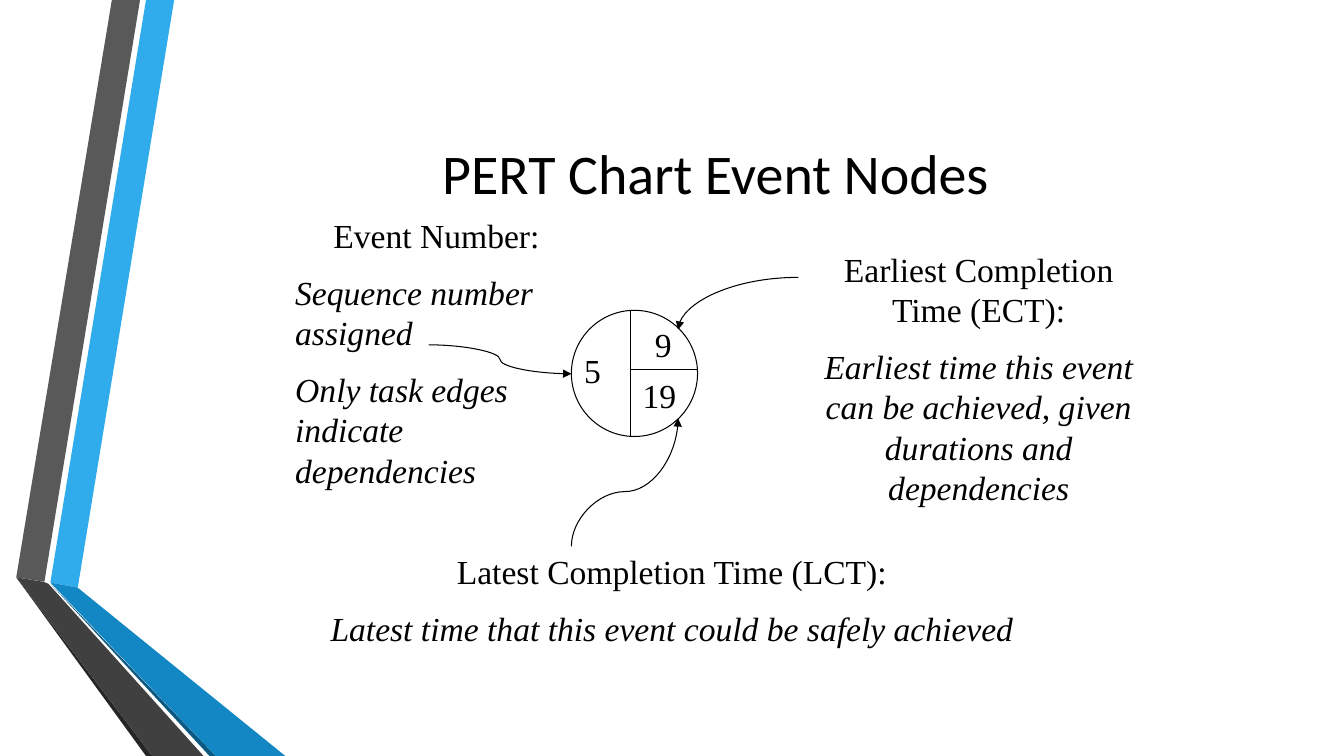
import pptx
import pptx.util
import pptx.dml.color
import pptx.enum.shapes
import pptx.enum.text
import pptx.oxml
import pptx.oxml.ns

Cm, Pt = pptx.util.Cm, pptx.util.Pt
ALIGN = pptx.enum.text.PP_ALIGN
CONNECTOR = pptx.enum.shapes.MSO_CONNECTOR

COLORS = {
    "ink": "000000", "paper": "FFFFFF",
    "sky": "30ACEC", "blue": "1287C3", "navy": "0C5A82",
    "gray": "595959", "charcoal": "404040", "coal": "262626",
}
WIDTH, HEIGHT = 33.87, 19.05

RIBBONS = [
    ("sky", [(1.27, 14.68), (1.96, 14.81), (4.39, 0), (3.68, 0)]),
    ("gray", [(3.53, 0), (2.82, 0), (0.41, 14.55), (1.12, 14.66)]),
    ("coal", [(0.41, 14.55), (3.68, HEIGHT), (3.84, HEIGHT)]),
    ("navy", [(1.27, 14.71), (5.28, HEIGHT), (5.44, HEIGHT)]),
    ("blue", [(1.27, 14.68), (5.44, HEIGHT), (7.19, HEIGHT), (1.96, 14.81)]),
    ("charcoal", [(5.13, HEIGHT), (1.22, 14.71), (1.09, 14.66),
                  (0.41, 14.55), (3.84, HEIGHT)]),
]

TITLE = ("PERT Chart Event Nodes", (4.11, 1.9, 27.84, 4.88))
NODE_LEFT, NODE_TOP, NODE_SIZE = 14.4, 7.82, 3.18
SPLIT_X, SPLIT_Y = 15.88, 9.32
NODE_VALUES = [
    ("5", (14.4, 8.68, 1.07, 1.27)),
    ("9", (16.08, 8.05, 1.27, 1.27)),
    ("19", (15.67, 9.32, 1.9, 1.27)),
]
EXPLANATIONS = [
    ("Event Number:",
     ["Sequence number assigned", "Only task edges indicate dependencies"],
     ALIGN.LEFT, (7.19, 5.28, 7.62, 7.44)),
    ("Earliest Completion Time (ECT):",
     ["Earliest time this event can be achieved, given durations and dependencies"],
     ALIGN.CENTER, (20.32, 6.14, 8.69, 6.93)),
    ("Latest Completion Time (LCT):",
     ["Latest time that this event could be safely achieved"],
     ALIGN.CENTER, (6.99, 13.76, 19.89, 2.82)),
]
POINTERS = [
    ((10.8, 8.69), (14.4, 9.42), "curvedConnector3", 0, 50000),
    ((20.12, 6.99), (17.09, 8.31), "curvedConnector2", 0, None),
    ((14.13, 10.81), (17.36, 13.5), "curvedConnector3", 270, 42800),
]

deck = pptx.Presentation()
deck.slide_width, deck.slide_height = Cm(WIDTH), Cm(HEIGHT)
slide = deck.slides.add_slide(deck.slide_layouts[6])


def color(name):
    return pptx.dml.color.RGBColor.from_string(COLORS[name])


def write(frame, text, size=24, font="Times New Roman", italic=False,
          align=ALIGN.CENTER, before=12):
    first = frame.paragraphs[0]
    paragraph = frame.add_paragraph() if first.runs else first
    paragraph.alignment = align
    paragraph.space_before = Pt(before)
    run = paragraph.add_run()
    run.text = text
    run.font.size, run.font.name, run.font.italic = Pt(size), font, italic
    run.font.color.rgb = color("ink")


def text_frame(box, anchor=pptx.enum.text.MSO_ANCHOR.TOP):
    frame = slide.shapes.add_textbox(*map(Cm, box)).text_frame
    frame.word_wrap = True
    frame.vertical_anchor = anchor
    return frame


def connect(kind, start, end):
    connector = slide.shapes.add_connector(kind, *map(Cm, start + end))
    connector.line.color.rgb = color("ink")
    connector.line.width = Pt(0.75)
    properties = connector._element.spPr
    properties.append(properties.makeelement(pptx.oxml.ns.qn("a:effectLst"), {}))
    return connector


def add_pointer(start, end, preset, turn, bend):
    pointer = connect(CONNECTOR.CURVE, start, end)
    properties = pointer._element.spPr
    if turn:
        properties.xfrm.set("rot", str(turn * 60000))
    geometry = properties.find(pptx.oxml.ns.qn("a:prstGeom"))
    geometry.set("prst", preset)
    if bend:
        adjustments = geometry.find(pptx.oxml.ns.qn("a:avLst"))
        adjustments.append(adjustments.makeelement(
            pptx.oxml.ns.qn("a:gd"), {"name": "adj1", "fmla": f"val {bend}"}))
    outline = pointer.line._get_or_add_ln()
    outline.append(outline.makeelement(
        pptx.oxml.ns.qn("a:tailEnd"), {"type": "triangle"}))


for shade, corners in RIBBONS:
    points = [(Cm(x), Cm(y)) for x, y in corners]
    builder = slide.shapes.build_freeform(*points[0])
    builder.add_line_segments(points[1:], close=True)
    ribbon = builder.convert_to_shape()
    ribbon.shadow.inherit = False
    ribbon.fill.solid()
    ribbon.fill.fore_color.rgb = color(shade)
    ribbon.line.fill.background()

title, title_box = TITLE
write(text_frame(title_box, pptx.enum.text.MSO_ANCHOR.MIDDLE), title,
      size=40, font="Calibri", before=0)

node = slide.shapes.add_shape(
    pptx.enum.shapes.MSO_SHAPE.OVAL,
    *map(Cm, (NODE_LEFT, NODE_TOP, NODE_SIZE, NODE_SIZE)))
node.shadow.inherit = False
node.fill.solid()
node.fill.fore_color.rgb = color("paper")
node.line.color.rgb = color("ink")
node.line.width = Pt(0.75)
connect(CONNECTOR.STRAIGHT, (SPLIT_X, NODE_TOP), (SPLIT_X, NODE_TOP + NODE_SIZE))
connect(CONNECTOR.STRAIGHT, (SPLIT_X, SPLIT_Y), (NODE_LEFT + NODE_SIZE, SPLIT_Y))

for value, box in NODE_VALUES:
    write(text_frame(box), value)

for pointer in POINTERS:
    add_pointer(*pointer)

for heading, details, align, box in EXPLANATIONS:
    explanation = text_frame(box)
    write(explanation, heading)
    for detail in details:
        write(explanation, detail, italic=True, align=align)

deck.save("out.pptx")
